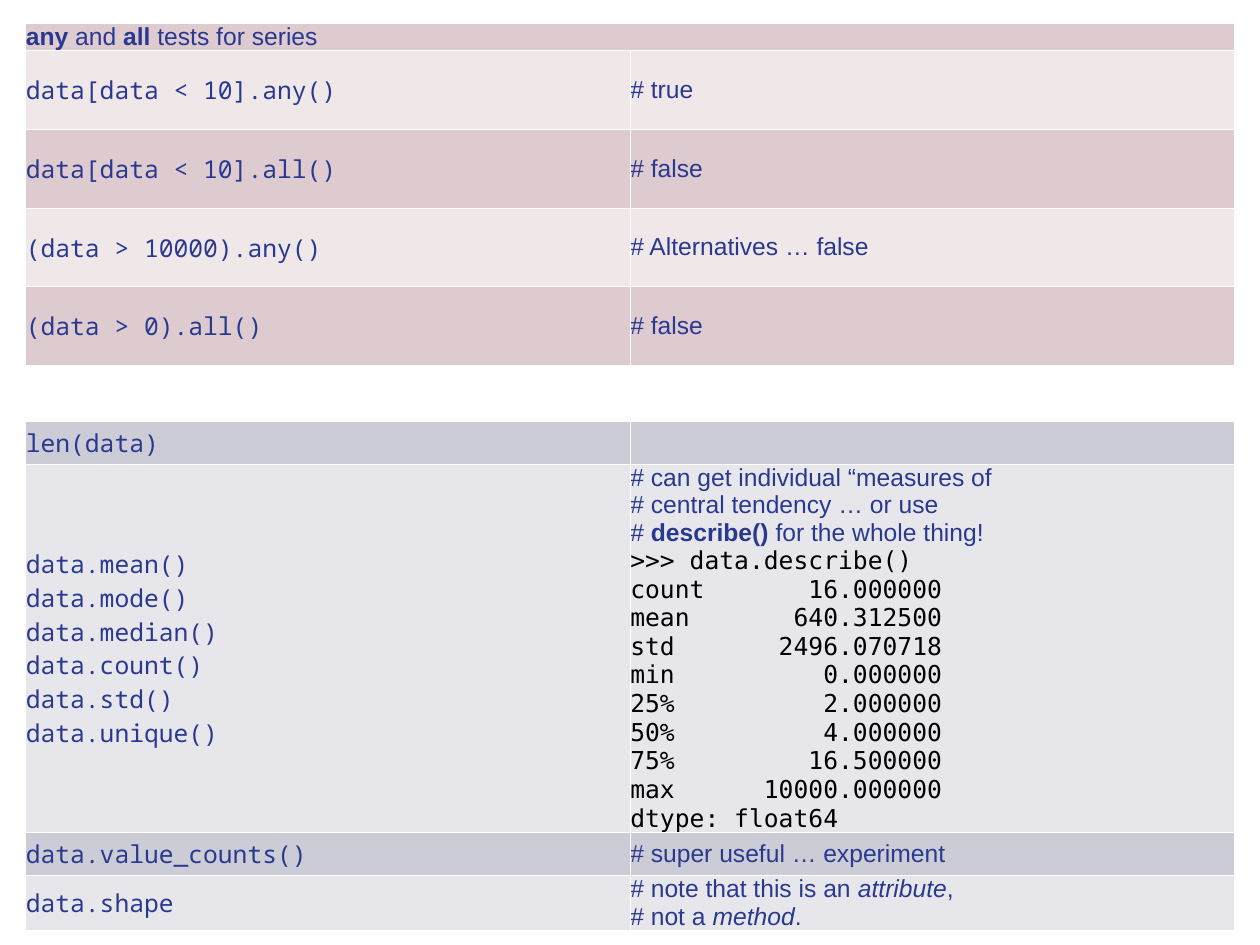
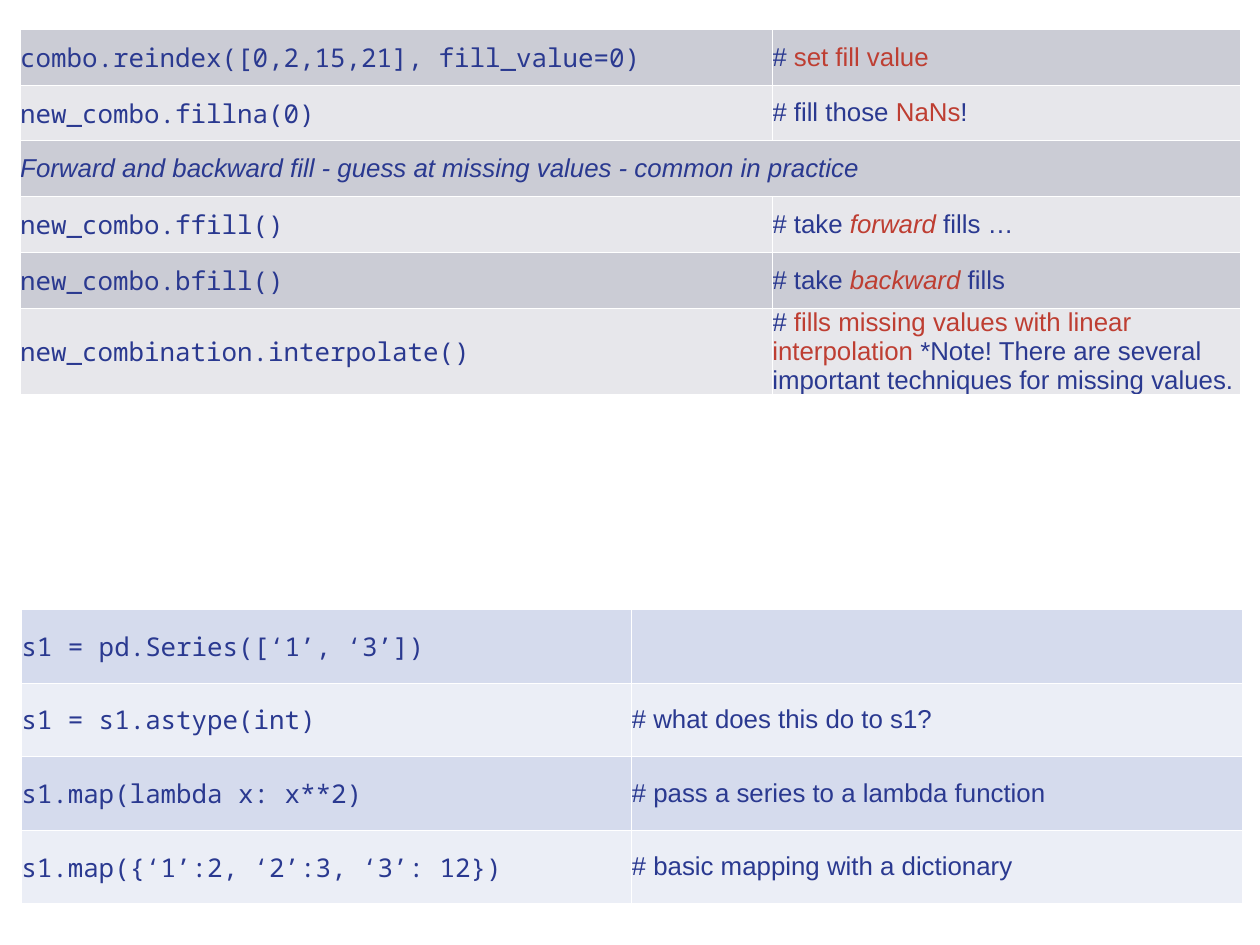
from dataclasses import dataclass

from lxml import etree
from pptx import Presentation
from pptx.dml.color import RGBColor
from pptx.enum import text
from pptx.oxml import ns
from pptx.util import Cm, Pt

NAVY = RGBColor(0x2A, 0x39, 0x90)
RED = RGBColor(0xBE, 0x3E, 0x32)
BLACK = RGBColor(0x00, 0x00, 0x00)
WHITE = RGBColor(0xFF, 0xFF, 0xFF)
ROSE = (RGBColor(0xDE, 0xCB, 0xCF), RGBColor(0xEF, 0xE7, 0xE8))
GREY = (RGBColor(0xCB, 0xCC, 0xD5), RGBColor(0xE7, 0xE7, 0xEB))
BLUE = (RGBColor(0xD5, 0xDB, 0xED), RGBColor(0xEB, 0xEE, 0xF6))

SANS = "Arial"
CODE = "Noto Sans Mono"
CONSOLE = "DejaVu Sans Mono"


@dataclass(frozen=True)
class Run:
    text: str
    font: str = SANS
    color: RGBColor = NAVY
    bold: bool = False
    italic: bool = False


Paragraph = tuple[Run, ...]
Cell = tuple[Paragraph, ...]


@dataclass(frozen=True)
class Grid:
    left: float
    top: float
    widths: tuple[float, ...]
    heights: tuple[float, ...]
    size: int
    bands: tuple[RGBColor, RGBColor]
    rows: tuple[tuple[Cell, ...], ...]


def lines(*texts: str, font: str = CODE, color: RGBColor = NAVY) -> Cell:
    return tuple((Run(t, font=font, color=color),) for t in texts)


def note(*parts: str | Run) -> Cell:
    return (tuple(Run(s) if isinstance(s, str) else s for s in parts),)


def add_run(p, content: str, *, font: str, size: int, color: RGBColor,
            bold: bool = False, italic: bool = False) -> None:
    r = p.add_run()
    r.text = content
    r.font.name = font
    r.font.size = Pt(size)
    r.font.color.rgb = color
    r.font.bold = bold
    r.font.italic = italic


def add_borders(cell) -> None:
    props = cell._tc.get_or_add_tcPr()
    for side in ("L", "R", "T", "B"):
        ln = etree.SubElement(props, ns.qn(f"a:ln{side}"), w=str(Pt(1)))
        fill = etree.SubElement(ln, ns.qn("a:solidFill"))
        etree.SubElement(fill, ns.qn("a:srgbClr"), val=str(WHITE))


def style_cell(cell, band: RGBColor) -> None:
    cell.margin_left = cell.margin_right = 0
    cell.margin_top = cell.margin_bottom = 0
    cell.vertical_anchor = text.MSO_ANCHOR.MIDDLE
    add_borders(cell)
    cell.fill.solid()
    cell.fill.fore_color.rgb = band


def write_cell(cell, content: Cell, size: int) -> None:
    tf = cell.text_frame
    for i, runs in enumerate(content):
        p = tf.add_paragraph() if i else tf.paragraphs[0]
        for run in runs:
            add_run(p, run.text, font=run.font, size=size, color=run.color,
                    bold=run.bold, italic=run.italic)


def add_grid(s, grid: Grid) -> None:
    table = s.shapes.add_table(
        len(grid.heights), len(grid.widths), Cm(grid.left), Cm(grid.top),
        Cm(sum(grid.widths)), Cm(sum(grid.heights))).table
    table.first_row = table.horz_banding = False
    for column, width in zip(table.columns, grid.widths):
        column.width = Cm(width)
    for i, (height, row) in enumerate(zip(grid.heights, grid.rows)):
        table.rows[i].height = Cm(height)
        for cell in table.rows[i].cells:
            style_cell(cell, grid.bands[i % 2])
        if len(row) == 1:
            table.cell(i, 0).merge(table.cell(i, len(grid.widths) - 1))
        for j, content in enumerate(row):
            write_cell(table.cell(i, j), content, grid.size)


SERIES_TESTS = Grid(
    0.74, 0.66, (17.33,) * 2, (0.64,) + (2.26,) * 4, 20, ROSE, (
        (note(Run("any", bold=True), " and ", Run("all", bold=True),
              " tests for series"),),
        (lines("data[data < 10].any()"), note("# true")),
        (lines("data[data < 10].all()"), note("# false")),
        (lines("(data > 10000).any()"), note("# Alternatives … false")),
        (lines("(data > 0).all()"), note("# false")),
    ))

DESCRIPTION = (
    lines("# can get individual “measures of",
          "# central tendency … or use", font=SANS)
    + note("# ", Run("describe()", bold=True), " for the whole thing!")
    + lines(">>> data.describe()",
            "count       16.000000",
            "mean       640.312500",
            "std       2496.070718",
            "min          0.000000",
            "25%          2.000000",
            "50%          4.000000",
            "75%         16.500000",
            "max      10000.000000",
            "dtype: float64", font=CONSOLE, color=BLACK))

SUMMARY_METHODS = Grid(
    0.74, 12.09, (17.33,) * 2, (1.22, 4.83, 1.22, 1.24), 20, GREY, (
        (lines("len(data)"), ()),
        (lines("data.mean()", "data.mode()", "data.median()",
               "data.count()", "data.std()", "data.unique()"), DESCRIPTION),
        (lines("data.value_counts()"), note("# super useful … experiment")),
        (lines("data.shape"),
         note("# note that this is an ", Run("attribute", italic=True), ",")
         + note("# not a ", Run("method", italic=True), ".")),
    ))

MISSING_VALUES = Grid(
    0.58, 0.84, (21.56, 13.41), (1.6,) * 5 + (1.73,), 21, GREY, (
        (lines("combo.reindex([0,2,15,21], fill_value=0)"),
         note("# ", Run("set fill value", color=RED))),
        (lines("new_combo.fillna(0)"),
         note("# fill those ", Run("NaNs", color=RED), "!")),
        (note(Run("Forward and backward fill - guess at missing values"
                  " - common in practice", italic=True)),),
        (lines("new_combo.ffill()"),
         note("# take ", Run("forward", color=RED, italic=True), " fills …")),
        (lines("new_combo.bfill()"),
         note("# take ", Run("backward ", color=RED, italic=True), "fills")),
        (lines("new_combination.interpolate()"),
         note("# ",
              Run("fills missing values with linear interpolation", color=RED),
              " *Note! There are several important techniques for"
              " missing values.")),
    ))

SERIES_MAPPING = Grid(
    0.61, 17.48, (17.5,) * 2, (2.11,) * 4, 21, BLUE, (
        (lines("s1 = pd.Series([‘1’, ‘3’])"), ()),
        (lines("s1 = s1.astype(int)"), note("# what does this do to s1?")),
        (lines("s1.map(lambda x: x**2)"),
         note("# pass a series to a lambda function")),
        (lines("s1.map({‘1’:2, ‘2’:3, ‘3’: 12})"),
         note("# basic mapping with a dictionary")),
    ))


def main() -> None:
    prs = Presentation()
    prs.slide_width, prs.slide_height = Cm(36.12), Cm(27.1)
    for grids in ((SERIES_TESTS, SUMMARY_METHODS),
                  (MISSING_VALUES, SERIES_MAPPING)):
        s = prs.slides.add_slide(prs.slide_layouts[6])
        for grid in grids:
            add_grid(s, grid)
    prs.save("out.pptx")


if __name__ == "__main__":
    main()
